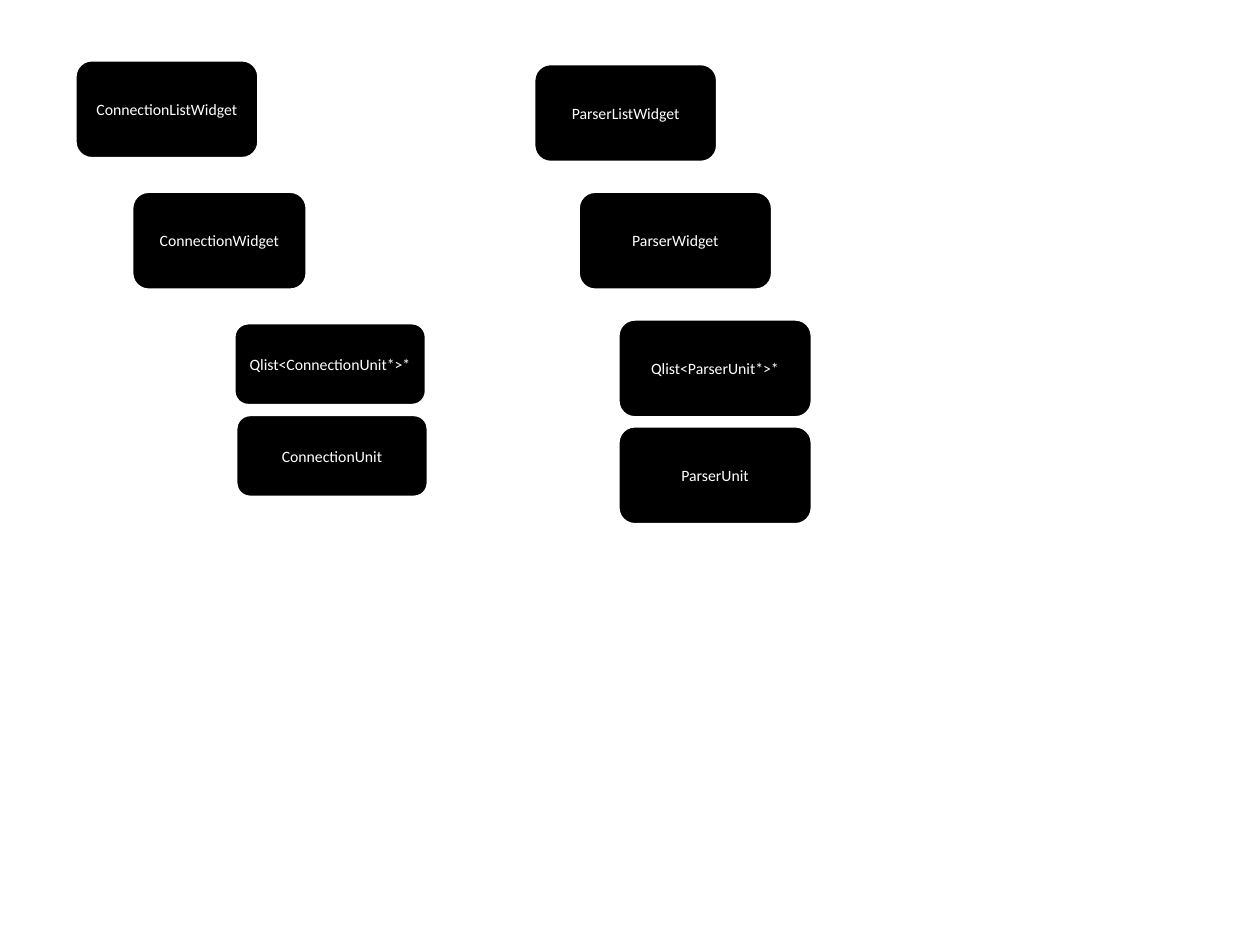
from typing import NamedTuple

from pptx import Presentation
from pptx.dml.color import RGBColor
from pptx.enum.shapes import MSO_SHAPE
from pptx.enum.text import MSO_ANCHOR, PP_ALIGN
from pptx.slide import Slide
from pptx.util import Inches, Pt

BLACK = RGBColor(0x00, 0x00, 0x00)
WHITE = RGBColor(0xFF, 0xFF, 0xFF)
BLANK_LAYOUT = 6


class ClassBox(NamedTuple):
    class_name: str
    left: float
    top: float
    width: float
    height: float = 1.03


CONNECTION_CLASSES = [
    ClassBox("ConnectionListWidget", 0.8, 0.64, 1.93),
    ClassBox("ConnectionWidget", 1.4, 2.03, 1.84),
    ClassBox("Qlist<ConnectionUnit*>*", 2.48, 3.42, 2.02, 0.86),
    ClassBox("ConnectionUnit", 2.5, 4.39, 2.02, 0.86),
]
PARSER_CLASSES = [
    ClassBox("ParserListWidget", 5.65, 0.68, 1.93),
    ClassBox("ParserWidget", 6.12, 2.03, 2.04),
    ClassBox("Qlist<ParserUnit*>*", 6.54, 3.38, 2.04),
    ClassBox("ParserUnit", 6.54, 4.51, 2.04),
]


def draw_class_box(slide: Slide, box: ClassBox) -> None:
    shape = slide.shapes.add_shape(
        MSO_SHAPE.ROUNDED_RECTANGLE,
        Inches(box.left), Inches(box.top), Inches(box.width), Inches(box.height),
    )
    shape.shadow.inherit = False
    shape.fill.solid()
    shape.fill.fore_color.rgb = BLACK
    shape.line.color.rgb = WHITE
    shape.line.width = Pt(1.5)

    frame = shape.text_frame
    frame.word_wrap = True
    frame.vertical_anchor = MSO_ANCHOR.MIDDLE
    paragraph = frame.paragraphs[0]
    paragraph.alignment = PP_ALIGN.CENTER
    label = paragraph.add_run()
    label.text = box.class_name
    label.font.name = "Calibri"
    label.font.size = Pt(12)
    label.font.color.rgb = WHITE


def main() -> None:
    presentation = Presentation()
    presentation.slide_width = Inches(13.32)
    presentation.slide_height = Inches(9.99)
    slide = presentation.slides.add_slide(presentation.slide_layouts[BLANK_LAYOUT])
    for box in CONNECTION_CLASSES + PARSER_CLASSES:
        draw_class_box(slide, box)
    presentation.save("out.pptx")


if __name__ == "__main__":
    main()
